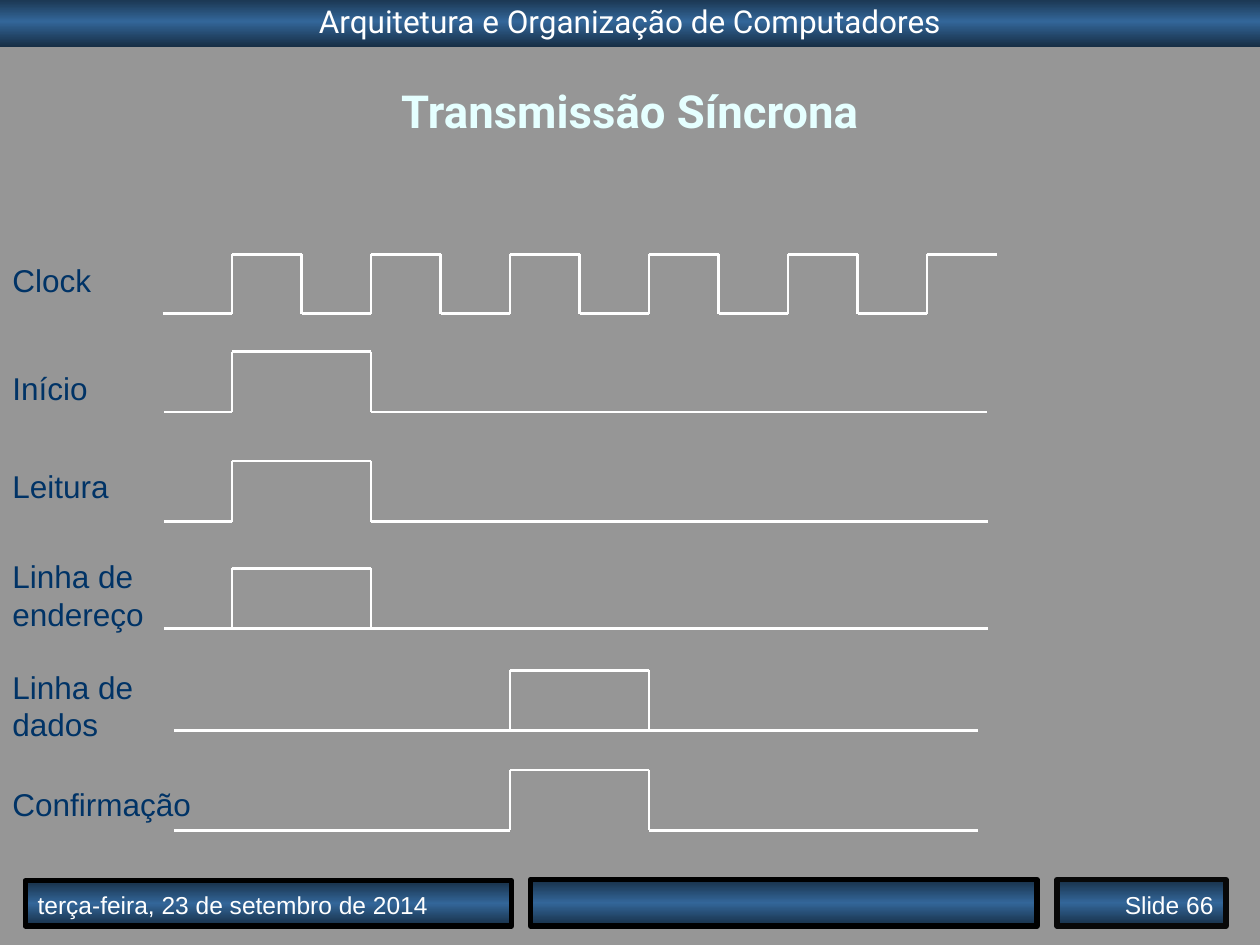
from copy import deepcopy
from itertools import pairwise

from lxml import etree
from pptx import Presentation
from pptx.dml.color import RGBColor
from pptx.enum import shapes, text
from pptx.oxml.ns import qn
from pptx.util import Inches, Pt

BACKGROUND = RGBColor(0x96, 0x96, 0x96)
BAR_EDGE = RGBColor(0x17, 0x2F, 0x46)
BAR_CENTRE = RGBColor(0x33, 0x66, 0x99)
BLACK = RGBColor(0x00, 0x00, 0x00)
NEAR_BLACK = RGBColor(0x08, 0x08, 0x08)
WHITE = RGBColor(0xFF, 0xFF, 0xFF)
TITLE_TINT = RGBColor(0xE5, 0xFF, 0xFF)
LABEL_BLUE = RGBColor(0x00, 0x33, 0x66)

# Clock edges are evenly spaced along the time axis
CLOCK_START, CLOCK_END, HALF_CYCLES = 1.29, 7.91, 12
HALF_CYCLE = (CLOCK_END - CLOCK_START) / HALF_CYCLES
CLOCK_HIGH, CLOCK_LOW = 2.02, 2.49
PULSE_HEIGHT = 0.48

# label, top, width, height
LABELS = [
    ("Clock", 2.02, 1.3, 0.4),
    ("Início", 2.88, 1.3, 0.4),
    ("Leitura", 3.66, 1.3, 0.4),
    ("Linha de endereço", 4.37, 1.3, 0.7),
    ("Linha de dados", 5.25, 1.3, 0.7),
    ("Confirmação", 6.18, 1.93, 0.4),
]

# start, end, low level, rising edge, falling edge, line under the pulse
PULSES = [
    (1.3, 7.83, 3.27, 1, 3, False),
    (1.3, 7.84, 4.14, 1, 3, False),
    (1.3, 7.84, 4.99, 1, 3, True),
    (1.38, 7.76, 5.8, 5, 7, True),
    (1.38, 7.76, 6.59, 5, 7, False),
]


def edge_x(edge):
    return CLOCK_START + edge * HALF_CYCLE


def write(shape, wording, font, align=text.PP_ALIGN.LEFT,
          anchor=text.MSO_ANCHOR.TOP, fit=text.MSO_AUTO_SIZE.NONE, spacing=None):
    frame = shape.text_frame
    frame.word_wrap = True
    frame.auto_size = fit
    frame.vertical_anchor = anchor
    paragraph = frame.paragraphs[0]
    paragraph.alignment = align
    paragraph.line_spacing = spacing
    run = paragraph.add_run()
    run.text = wording
    formats = dict(font)
    run.font.color.rgb = formats.pop("color")
    for name, value in formats.items():
        setattr(run.font, name, value)


def add_bar(slide, box, border=None):
    bar = slide.shapes.add_shape(shapes.MSO_SHAPE.RECTANGLE, *map(Inches, box))
    bar.shadow.inherit = False
    bar.fill.gradient()
    bar.fill.gradient_angle = 270
    # A third stop gives the bright centre
    first_stop = bar.element.spPr.find(".//" + qn("a:gs"))
    first_stop.addnext(deepcopy(first_stop))
    colours = (BAR_EDGE, BAR_CENTRE, BAR_EDGE)
    for stop, position, colour in zip(bar.fill.gradient_stops, (0, 0.5, 1), colours):
        stop.position = position
        stop.color.rgb = colour
    if border is None:
        bar.line.fill.background()
    else:
        bar.line.color.rgb = border
        bar.line.width = Pt(3)
    return bar


def add_text(slide, box, wording, font, **layout):
    textbox = slide.shapes.add_textbox(*map(Inches, box))
    write(textbox, wording, font, fit=text.MSO_AUTO_SIZE.SHAPE_TO_FIT_TEXT, **layout)


def add_wave(slide, points):
    for start, end in pairwise(points):
        segment = slide.shapes.add_connector(
            shapes.MSO_CONNECTOR.STRAIGHT, *map(Inches, start + end))
        segment.line.color.rgb = WHITE
        segment.line.width = Pt(1.5)
        etree.SubElement(segment.element.spPr, qn("a:effectLst"))


def add_clock(slide):
    points = []
    for half in range(HALF_CYCLES):
        level = CLOCK_HIGH if half % 2 else CLOCK_LOW
        points += [(edge_x(half), level), (edge_x(half + 1), level)]
    add_wave(slide, points)


def add_pulse(slide, start, end, low, rising, falling, underlined):
    rise, fall, high = edge_x(rising), edge_x(falling), low - PULSE_HEIGHT
    add_wave(slide, [(start, low), (rise, low), (rise, high),
                     (fall, high), (fall, low), (end, low)])
    if underlined:
        add_wave(slide, [(rise, low), (fall, low)])


def main():
    deck = Presentation()
    deck.slide_width, deck.slide_height = Inches(10), Inches(7.5)
    slide = deck.slides.add_slide(deck.slide_layouts[6])
    slide.background.fill.solid()
    slide.background.fill.fore_color.rgb = BACKGROUND

    # Header and footer bars
    header_font = {"name": "Roboto", "size": Pt(18), "color": WHITE}
    footer_font = {"name": "Arial", "size": Pt(14), "color": WHITE}
    header = add_bar(slide, (0, -0.03, 10, 0.4))
    write(header, "Arquitetura e Organização de Computadores", header_font,
          align=text.PP_ALIGN.CENTER)
    date = add_bar(slide, (0.2, 6.99, 3.86, 0.36), BLACK)
    write(date, "terça-feira, 23 de setembro de 2014", footer_font,
          anchor=text.MSO_ANCHOR.BOTTOM)
    add_bar(slide, (4.21, 6.98, 4.02, 0.37), BLACK)
    number = add_bar(slide, (8.39, 6.98, 1.34, 0.37), NEAR_BLACK)
    write(number, "Slide 66", footer_font, align=text.PP_ALIGN.RIGHT,
          anchor=text.MSO_ANCHOR.BOTTOM)

    # Title
    title_font = {"name": "Roboto", "size": Pt(26), "bold": True, "color": TITLE_TINT}
    add_text(slide, (0, 0.76, 10, 0.36), "Transmissão Síncrona", title_font,
             align=text.PP_ALIGN.CENTER, spacing=0.6)

    # Timing diagram
    add_clock(slide)
    for pulse in PULSES:
        add_pulse(slide, *pulse)

    # Signal names
    label_font = {"name": "Arial", "size": Pt(18), "color": LABEL_BLUE}
    for label, top, width, height in LABELS:
        add_text(slide, (0, top, width, height), label, label_font)

    deck.save("out.pptx")


if __name__ == "__main__":
    main()
